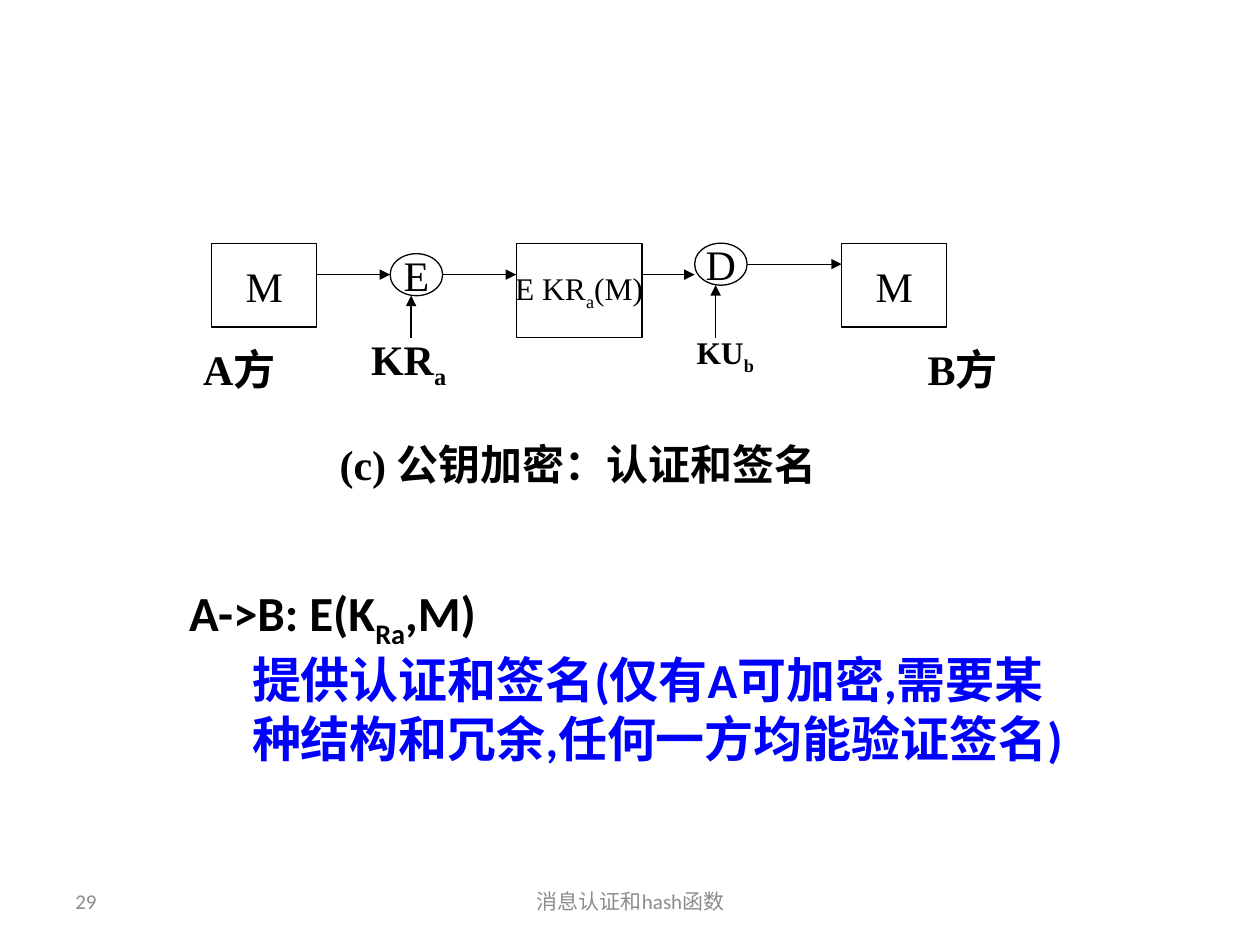
import pptx
import pptx.util
import pptx.dml.color
import pptx.enum.text
import pptx.enum.shapes
import lxml.etree

COLORS = {"ink": "000000", "accent": "0000FF", "muted": "8C8C8C"}
SERIF, SANS = "Times New Roman", "Calibri"
ALIGN = pptx.enum.text.PP_ALIGN
ANCHOR = pptx.enum.text.MSO_ANCHOR
SHAPE = pptx.enum.shapes.MSO_SHAPE
A = "{http://schemas.openxmlformats.org/drawingml/2006/main}"

deck = pptx.Presentation()
deck.slide_width, deck.slide_height = pptx.util.Inches(10), pptx.util.Inches(7.5)
W, H = deck.slide_width, deck.slide_height
slide = deck.slides.add_slide(deck.slide_layouts[1])
title = slide.shapes.title
title.element.getparent().remove(title.element)

cell = pptx.util.Inches(1 / 12)
left, top = pptx.util.Inches(1.68), pptx.util.Inches(1.93)


def grid(col, row):
    return left + col * cell, top + row * cell


def write(paragraph, text, size, font, color="ink", bold=False, align=ALIGN.LEFT):
    for index, part in enumerate(text.split("_")):
        run = paragraph.add_run()
        run.text = part
        if index % 2:
            run.font._element.set("baseline", "-25000")
    paragraph.alignment = align
    paragraph.font.size = pptx.util.Pt(size)
    paragraph.font.name = font
    paragraph.font.bold = bold
    paragraph.font.color.rgb = pptx.dml.color.RGBColor.from_string(COLORS[color])


for x, width, text, align in [
    (0.05, 0.233, "29", ALIGN.LEFT),
    (0.342, 0.317, "消息认证和hash函数", ALIGN.CENTER),
]:
    footer = slide.shapes.add_textbox(int(x * W), int(0.927 * H), int(width * W), int(0.053 * H))
    footer.text_frame.word_wrap = True
    footer.text_frame.vertical_anchor = ANCHOR.MIDDLE
    write(footer.text_frame.paragraphs[0], text, 12, SANS, "muted", align=align)

for kind, col, row, cols, rows, text, size in [
    (SHAPE.RECTANGLE, 0, 0, 10, 8, "M", 24),
    (SHAPE.OVAL, 17, 1, 5, 4, "E", 24),
    (SHAPE.RECTANGLE, 29, 0, 12, 9, "E KR_a_(M)", 18),
    (SHAPE.OVAL, 46, 0, 5, 4, "D", 24),
    (SHAPE.RECTANGLE, 60, 0, 10, 8, "M", 24),
]:
    node = slide.shapes.add_shape(kind, *grid(col, row), cols * cell, rows * cell)
    node.shadow.inherit = False
    node.fill.background()
    node.line.color.rgb = pptx.dml.color.RGBColor.from_string(COLORS["ink"])
    node.line.width = pptx.util.Pt(0.75)
    node.text_frame.word_wrap = False
    node.text_frame.vertical_anchor = ANCHOR.MIDDLE
    write(node.text_frame.paragraphs[0], text, size, SERIF, align=ALIGN.CENTER)

for start, end in [
    ((10, 3), (17, 3)),
    ((22, 3), (29, 3)),
    ((41, 3), (46, 3)),
    ((51, 2), (60, 2)),
    ((19, 9), (19, 5)),
    ((48, 9), (48, 4)),
]:
    arrow = slide.shapes.add_connector(
        pptx.enum.shapes.MSO_CONNECTOR.STRAIGHT, *grid(*start), *grid(*end))
    arrow.line.color.rgb = pptx.dml.color.RGBColor.from_string(COLORS["ink"])
    arrow.line.width = pptx.util.Pt(0.75)
    lxml.etree.SubElement(arrow.line._get_or_add_ln(), A + "tailEnd", type="triangle")
    lxml.etree.SubElement(arrow._element.spPr, A + "effectLst")

for col, row, cols, rows, text, size in [
    (-2, 9, 14, 6, "A方", 24),
    (67, 9, 14, 6, "B方", 24),
    (14, 8, 12, 6, "KR_a", 24),
    (45, 8, 11, 5, "KU_b", 18),
    (11, 18, 50, 6, "(c) 公钥加密：认证和签名", 24),
]:
    label = slide.shapes.add_textbox(*grid(col, row), cols * cell, rows * cell)
    label.text_frame.word_wrap = True
    write(label.text_frame.paragraphs[0], text, size, SERIF, bold=True)

body = slide.placeholders[1]
body.left, body.top = int(0.14 * W), int(0.61 * H)
body.width, body.height = int(0.717 * W), int(0.2 * H)
protocol = body.text_frame
protocol.auto_size = pptx.enum.text.MSO_AUTO_SIZE.NONE
protocol.vertical_anchor = ANCHOR.TOP
for paragraph, level, margin, indent, text, color in [
    (protocol.paragraphs[0], 0, 0.44, -0.44, "A->B: E(K_Ra_,M)", "ink"),
    (protocol.add_paragraph(), 1, 0.5, 0,
     "提供认证和签名(仅有A可加密,需要某种结构和冗余,任何一方均能验证签名)", "accent"),
]:
    write(paragraph, text, 28, SANS, color, bold=True)
    paragraph.level = level
    paragraph.space_before = pptx.util.Pt(0)
    properties = paragraph._p.get_or_add_pPr()
    properties.set("marL", str(pptx.util.Inches(margin)))
    properties.set("indent", str(pptx.util.Inches(indent)))
    bullet = lxml.etree.Element(A + "buNone")
    properties.find(A + "defRPr").addprevious(bullet)

deck.save("out.pptx")
